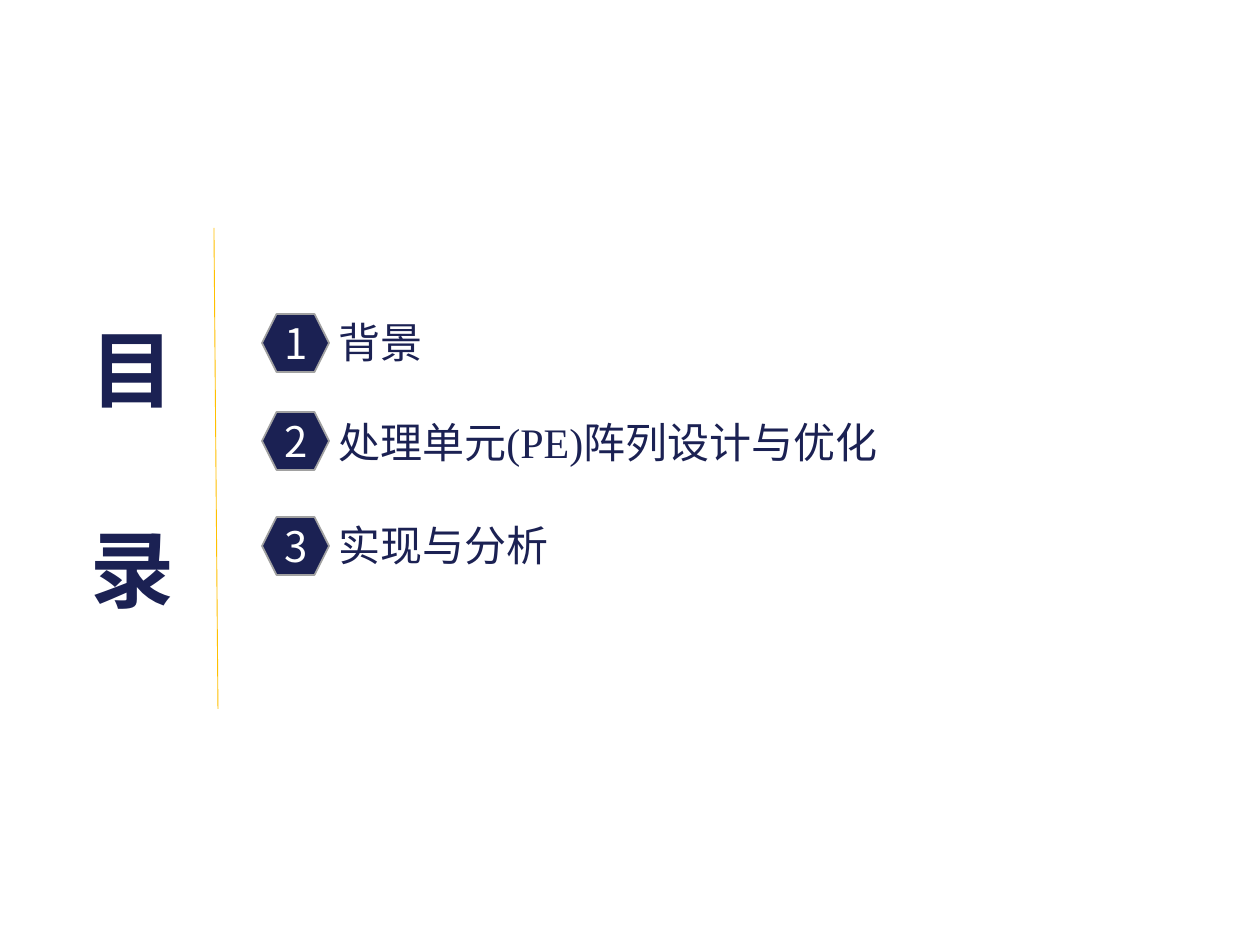
from typing import NamedTuple

from lxml import etree
from pptx import Presentation
from pptx import util as u
from pptx.dml.color import RGBColor
from pptx.enum import shapes, text
from pptx.oxml.ns import qn

PX_PER_INCH = 126


class Theme:
    navy = RGBColor(0x1B, 0x21, 0x53)
    gold = RGBColor(0xFF, 0xC0, 0x00)
    gray = RGBColor(0xA1, 0xA1, 0xA1)
    white = RGBColor(0xFF, 0xFF, 0xFF)
    sans = "Noto Sans CJK SC"
    title = {"size": u.Pt(48), "name": sans, "bold": True}
    item = {"size": u.Pt(24)}
    gap = u.Pt(57)


class Box(NamedTuple):
    left: int
    top: int
    width: int
    height: int


class Item(NamedTuple):
    label: str
    font: str
    badge_top: int
    label_top: int
    width: int


ITEMS = [
    Item("背景", "Calibri", 314, 310, 111),
    Item("处理单元(PE)阵列设计与优化", "Times New Roman", 412, 410, 570),
    Item("实现与分析", "Times New Roman", 517, 513, 237),
]


def px(*values: int) -> list[u.Emu]:
    return [u.Emu(round(v * 914400 / PX_PER_INCH)) for v in values]


def write(para, words: str, color: RGBColor, form: dict) -> None:
    run = para.add_run()
    run.text = words
    for key, value in form.items():
        setattr(run.font, key, value)
    run.font.color.rgb = color


def add_text(slide, box: Box, lines: list[str], form: dict) -> None:
    frame = slide.shapes.add_textbox(*px(*box)).text_frame
    frame.word_wrap = True
    for i, line in enumerate(lines):
        para = frame.add_paragraph() if i else frame.paragraphs[0]
        if i:
            para.space_before = Theme.gap
        write(para, line, Theme.navy, form)


def add_badge(slide, box: Box, number: int) -> None:
    badge = slide.shapes.add_shape(shapes.MSO_SHAPE.HEXAGON, *px(*box))
    badge.adjustments[0] = 0.25
    badge.shadow.inherit = False
    badge.fill.solid()
    badge.fill.fore_color.rgb = Theme.navy
    badge.line.color.rgb = Theme.gray
    badge.line.width = u.Pt(1)
    badge.text_frame.vertical_anchor = text.MSO_ANCHOR.MIDDLE
    para = badge.text_frame.paragraphs[0]
    para.alignment = text.PP_ALIGN.CENTER
    write(para, str(number), Theme.white, Theme.item | {"name": Theme.sans})


def add_rule(slide, x1: int, y1: int, x2: int, y2: int) -> None:
    rule = slide.shapes.add_connector(
        shapes.MSO_CONNECTOR.STRAIGHT, *px(x1, y1, x2, y2))
    rule.line.color.rgb = Theme.gold
    rule.line.width = u.Pt(0.5)
    etree.SubElement(rule._element.spPr, qn("a:effectLst"))


def main() -> None:
    deck = Presentation()
    deck.slide_width, deck.slide_height = px(1260, 945)
    slide = deck.slides.add_slide(deck.slide_layouts[6])

    # Heading and divider
    add_text(slide, Box(78, 311, 116, 318), ["目", "录"], Theme.title)
    add_rule(slide, 214, 228, 218, 709)

    # Numbered contents
    for number, item in enumerate(ITEMS, 1):
        add_badge(slide, Box(262, item.badge_top, 67, 58), number)
        add_text(slide, Box(326, item.label_top, item.width, 63),
                 [item.label], Theme.item | {"name": item.font})

    deck.save("out.pptx")


if __name__ == "__main__":
    main()
